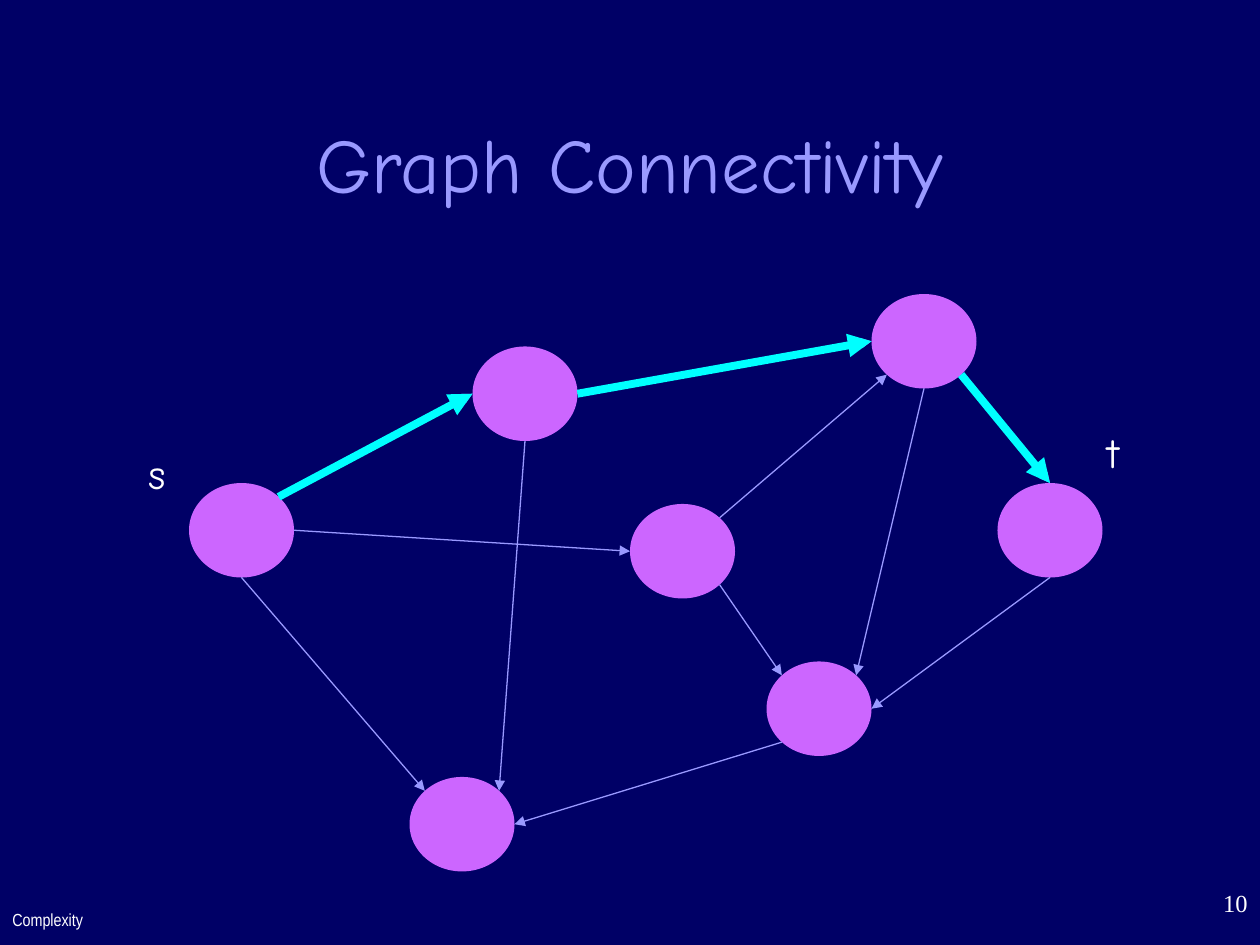
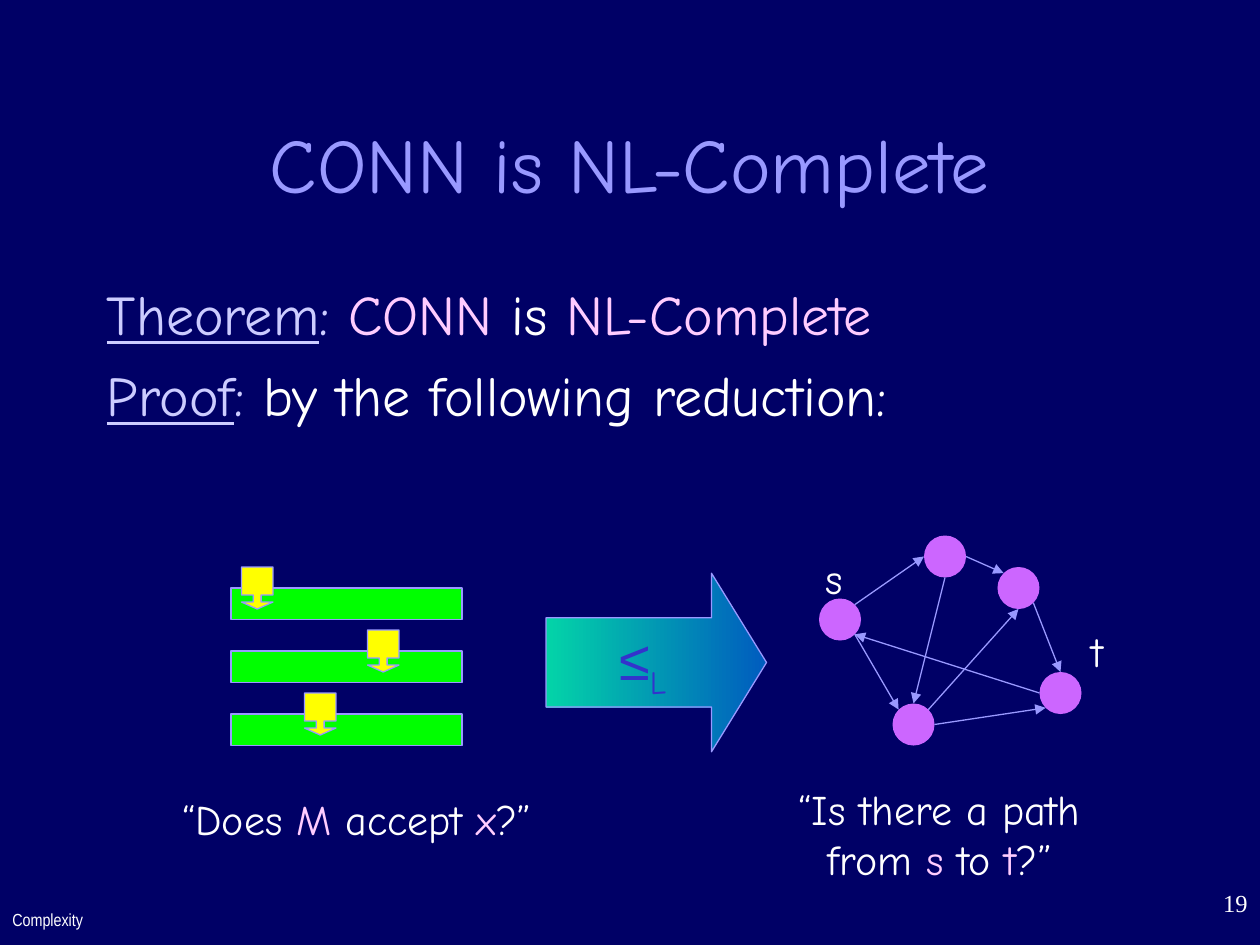
from math import cos, radians, sin
from lxml.etree import SubElement
from pptx import Presentation
from pptx.dml.color import RGBColor as Rgb
from pptx.enum.shapes import MSO_CONNECTOR as Conn, MSO_SHAPE as Geo
from pptx.enum.text import MSO_ANCHOR as Anchor, PP_ALIGN as Align
from pptx.oxml.ns import qn
from pptx.util import Emu, Pt

PX = 7620  # 120 px to the inch
HUE = {k: Rgb.from_string(v) for k, v in {
    "back": "000066", "title": "9999FF", "edge": "9999FF", "node": "CC66FF",
    "path": "00FFFF", "text": "FFFFFF", "term": "FFCCFF", "head": "CCCCFF",
    "tape": "00FF00", "mark": "FFFF00", "sign": "3333CC",
    "from": "03D4A8", "to": "005CBF"}.items()}
HAND = "Comic Neue"
# Compass points on an ellipse, as angles clockwise from east
SITES = {name: radians(45 * i) for i, name in
         enumerate(["E", "SE", "S", "SW", "W", "NW", "N", "NE"])}


def emu(*px):
    return [Emu(round(n * PX)) for n in px]


def write(frame, paras, size, font=HAND, align=Align.CENTER,
          anchor=Anchor.TOP, gap=0):
    """Fill a frame; each paragraph is a list of (text, hue, extra formats)."""
    frame.word_wrap = True
    frame.vertical_anchor = anchor
    for i, runs in enumerate(paras):
        para = frame.add_paragraph() if i else frame.paragraphs[0]
        para.alignment = align
        if i:
            para.space_before = Pt(gap)
        for text, hue, *extra in runs:
            run = para.add_run()
            run.text = text
            run.font.color.rgb = HUE[hue]
            look = {"size": Pt(size), "name": font}
            for item in extra:
                look.update(item)
            for key, value in look.items():
                setattr(run.font, key, value)


def label(slide, box, runs, size=24, **look):
    write(slide.shapes.add_textbox(*emu(*box)).text_frame, [runs], size, **look)


def draw(slide, geo, box, hue=None, line=True, adj=()):
    shape = slide.shapes.add_shape(geo, *emu(*box))
    shape.shadow.inherit = False
    for i, value in enumerate(adj):
        shape.adjustments[i] = value
    if hue:
        shape.fill.solid()
        shape.fill.fore_color.rgb = HUE[hue]
    if line:
        shape.line.color.rgb = HUE["edge"]
        shape.line.width = Pt(0.75)
    else:
        shape.line.fill.background()
    return shape


def arrow(slide, start, end, hue, width):
    link = slide.shapes.add_connector(Conn.STRAIGHT, *emu(*start, *end))
    link.line.color.rgb = HUE[hue]
    link.line.width = Pt(width)
    SubElement(link.line._get_or_add_ln(), qn("a:tailEnd"), type="triangle")
    SubElement(link._element.spPr, qn("a:effectLst"))


def graph(slide, box, size, nodes, edges, path=()):
    """Draw nodes at offsets in the box, joined by 'node site node site' edges."""
    left, top, _, _ = box
    wide, high = size
    for x, y in nodes.values():
        draw(slide, Geo.OVAL, (left + x, top + y, wide, high), "node", line=False)

    def spot(name, site):
        x, y = nodes[name]
        turn = SITES[site]
        return (left + x + wide / 2 * (1 + cos(turn)),
                top + y + high / 2 * (1 + sin(turn)))

    for group, hue, width in ((edges, "edge", 0.75), (path, "path", 4.5)):
        for edge in group:
            a, out, b, into = edge.split()
            arrow(slide, spot(a, out), spot(b, into), hue, width)


def tapes(slide, box, heads):
    """Stack tapes at equal steps, each with its head at an offset."""
    left, top, wide, step = box
    for i in range(len(heads)):
        draw(slide, Geo.RECTANGLE, (left, top + 20 + i * step, wide, 30), "tape")
    for i, x in enumerate(heads):
        draw(slide, Geo.DOWN_ARROW_CALLOUT, (left + x, top + i * step, 30, 40),
             "mark", adj=(0.25, 0.5, 0.222, 0.667))


def reduce(slide, box):
    shape = draw(slide, Geo.RIGHT_ARROW, box, adj=(0.5, 0.308))
    shape.fill.gradient()
    shape.fill.gradient_angle = 180
    for stop, hue, at in zip(shape.fill.gradient_stops, ("to", "from"), (0, 1)):
        stop.color.rgb = HUE[hue]
        stop.position = at
    write(shape.text_frame, [[("≤", "sign", {"name": "Arial"}), ("L", "sign")]],
          32, anchor=Anchor.MIDDLE)
    low = shape.text_frame.paragraphs[0].runs[1]
    low.font._element.set("baseline", "-25000")


def start(deck, title, number):
    """Add a slide with the shared background, title and footers."""
    slide = deck.slides.add_slide(deck.slide_layouts[6])
    slide.background.fill.solid()
    slide.background.fill.fore_color.rgb = HUE["back"]
    label(slide, (90, 80, 1020, 150), [(title, "title")], 44,
          anchor=Anchor.MIDDLE)
    label(slide, (0, 860, 130, 40), [("Complexity", "text")], 10,
          font="Arial Narrow", align=Align.LEFT)
    label(slide, (950, 840, 250, 60), [(str(number), "text")], 14,
          font="Times New Roman", align=Align.RIGHT)
    return slide


def connect(deck):
    slide = start(deck, "Graph Connectivity", 10)
    nodes = {"s": (0, 180), "a": (270, 50), "b": (650, 0), "m": (420, 200),
             "d": (210, 460), "e": (550, 350), "t": (770, 180)}
    path = ["s NE a W", "a E b W", "b SE t N"]
    edges = path + ["s S d NW", "a S d NE", "s E m W", "m NE b SW", "b S e NE",
                    "e SW d E", "m SE e NW", "t S e E"]
    graph(slide, (180, 280, 870, 550), (100, 90), nodes, edges, path)
    label(slide, (110, 420, 80, 60), [("s", "text")])
    label(slide, (1020, 400, 80, 60), [("t", "text")])


def proof(deck):
    slide = start(deck, "CONN is NL-Complete", 19)
    under = {"underline": True}
    body = slide.shapes.add_textbox(*emu(90, 260, 1020, 220))
    write(body.text_frame, [
        [("Theorem", "head", under), (": ", "head"), ("CONN", "term"),
         (" is ", "text"), ("NL-Complete", "term")],
        [("Proof", "head", under), (":", "head"),
         (" by the following reduction:", "text")]], 32, align=Align.LEFT, gap=8)
    tapes(slide, (220, 540, 220, 60), (10, 130, 70))
    reduce(slide, (520, 546, 210, 170))
    nodes = {"s": (0, 60), "d": (70, 160), "a": (100, 0), "b": (170, 30),
             "t": (210, 130)}
    edges = ["s SE d NW", "a S d N", "s NE a W", "b SE t N", "d E t SW",
             "t W s SE", "a E b NW", "d NE b S"]
    graph(slide, (780, 510, 250, 200), (40, 40), nodes, edges)
    label(slide, (770, 520, 50, 60), [("s", "text")])
    label(slide, (1020, 590, 50, 60), [("t", "text")])
    label(slide, (100, 750, 480, 60), [
        ("“Does ", "text"), ("M", "term"), (" accept ", "text"),
        ("x", "term"), ("?”", "text")])
    label(slide, (720, 740, 350, 108), [
        ("“Is there a path from ", "text"), ("s", "term"), (" to ", "text"),
        ("t", "term"), ("?”", "text")])


def main():
    deck = Presentation()
    deck.slide_width, deck.slide_height = emu(1200, 900)
    connect(deck)
    proof(deck)
    deck.save("out.pptx")


if __name__ == "__main__":
    main()
